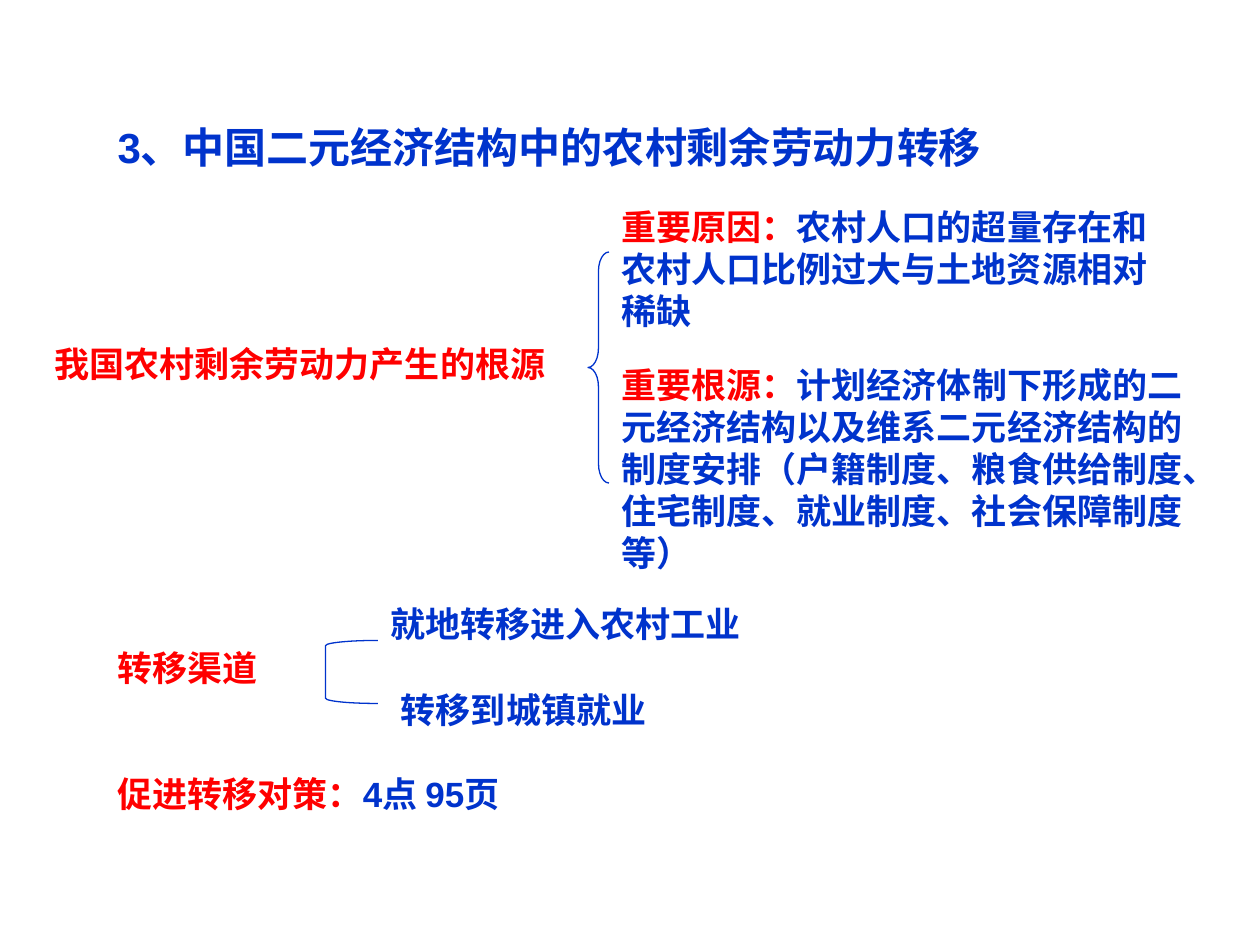
"""Build the slide on surplus rural labour transfer in a dual economy."""
from dataclasses import dataclass

from pptx import Presentation
from pptx.dml.color import RGBColor
from pptx.enum import shapes, text
from pptx.util import Pt

BLUE = RGBColor(0x00, 0x33, 0xCC)
RED = RGBColor(0xFF, 0x00, 0x00)
FONT = "Arial"


@dataclass
class Label:
    left: float
    top: float
    width: float
    height: float
    heading: str = ""
    body: str = ""
    size: float = 20


@dataclass
class Bracket:
    kind: shapes.MSO_SHAPE
    left: float
    top: float
    width: float
    height: float
    curve: float


TITLE = Label(60, 66, 624, 36, body="3、中国二元经济结构中的农村剩余劳动力转移", size=24)
LABELS = [
    Label(24, 192, 306, 31.5, "我国农村剩余劳动力产生的根源"),
    Label(348, 114, 324, 79, "重要原因：",
          "农村人口的超量存在和农村人口比例过大与土地资源相对稀缺"),
    Label(348, 204, 336, 127.5, "重要根源：",
          "计划经济体制下形成的二元经济结构以及维系二元经济结构的制度安排"
          "（户籍制度、粮食供给制度、住宅制度、就业制度、社会保障制度等）"),
    Label(60, 366, 120, 31.5, "转移渠道"),
    Label(216, 341, 306, 31.5, body="就地转移进入农村工业"),
    Label(222, 390, 300, 31.5, body="转移到城镇就业"),
    Label(60, 438, 600, 31.5, "促进转移对策：", "4点 95页"),
]
BRACKETS = [
    Bracket(shapes.MSO_SHAPE.LEFT_BRACE, 336, 144, 12, 132, 0.92),
    Bracket(shapes.MSO_SHAPE.LEFT_BRACKET, 186, 366, 30, 36, 0.1),
]


def fill_label(sp, label: Label) -> None:
    sp.left, sp.top = Pt(label.left), Pt(label.top)
    sp.width, sp.height = Pt(label.width), Pt(label.height)
    tf = sp.text_frame
    tf.word_wrap = True
    tf.auto_size = text.MSO_AUTO_SIZE.SHAPE_TO_FIT_TEXT
    tf.vertical_anchor = text.MSO_ANCHOR.TOP
    tf.margin_left = tf.margin_right = Pt(7.2)
    tf.margin_top = tf.margin_bottom = Pt(3.6)
    p = tf.paragraphs[0]
    p.alignment = text.PP_ALIGN.LEFT
    p.space_before = Pt(label.size * 0.625)
    p.font.name, p.font.size, p.font.bold = FONT, Pt(label.size), True
    for words, color in ((label.heading, RED), (label.body, BLUE)):
        if words:
            r = p.add_run()
            r.text = words
            r.font.color.rgb = color


def add_bracket(s, bracket: Bracket) -> None:
    sp = s.shapes.add_shape(bracket.kind, Pt(bracket.left), Pt(bracket.top),
                            Pt(bracket.width), Pt(bracket.height))
    sp.adjustments[0] = bracket.curve
    sp.shadow.inherit = False
    sp.fill.background()
    sp.line.color.rgb = BLUE
    sp.line.width = Pt(0.75)


def main() -> None:
    prs = Presentation()
    prs.slide_width, prs.slide_height = Pt(720), Pt(540)
    s = prs.slides.add_slide(prs.slide_layouts[5])
    fill_label(s.shapes.title, TITLE)
    for label in LABELS:
        fill_label(s.shapes.add_textbox(0, 0, 0, 0), label)
    for bracket in BRACKETS:
        add_bracket(s, bracket)
    prs.save("out.pptx")


if __name__ == "__main__":
    main()
